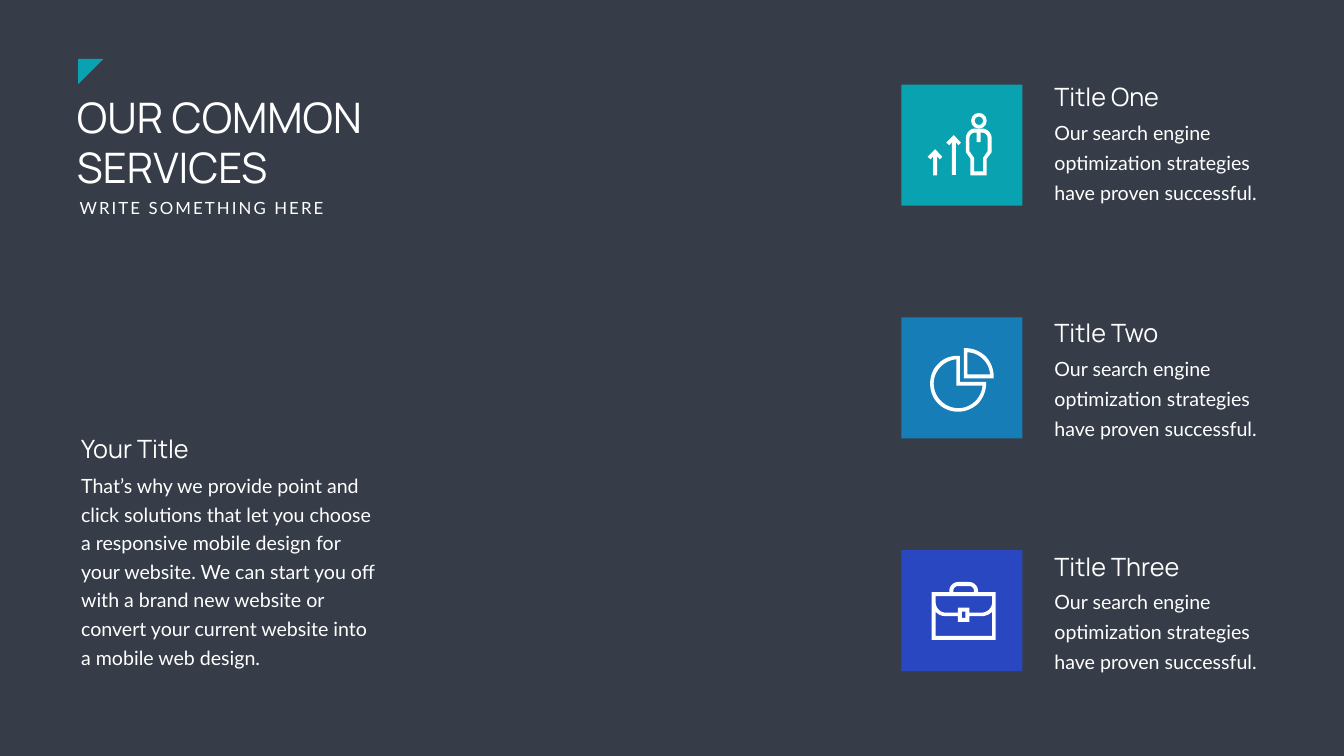
import pptx
import pptx.util
import pptx.dml.color
import pptx.enum.shapes
from pptx.util import Cm, Pt

SHAPE = pptx.enum.shapes.MSO_SHAPE
WHITE = "FFFFFF"
UNIT = Cm(2.54) / 100
STEPS = 12
SIDE = 6.1
LEFT = 45.42
TOP = 4.27
PITCH = 11.73

PERSON = [
    [(171, 132), (162, 145), (162, 172), (144, 172), (144, 145), (135, 132),
     (135, 106), (135, 100, 140, 95, 146, 95), (149, 95), (149, 114),
     (157, 114), (157, 95), (160, 95), (166, 95, 171, 100, 171, 106)],
    [(160, 87), (146, 87), (136, 87, 128, 96, 128, 106), (128, 134),
     (137, 147), (137, 180), (169, 180), (169, 147), (179, 134),
     (179, 106), (179, 96, 170, 87, 160, 87)],
]
PIE = [
    [(109, 83), (84, 85, 64, 106, 64, 131), (64, 158, 86, 180, 113, 180),
     (138, 180, 159, 160, 161, 135), (109, 135)],
    [(113, 187), (97, 187, 83, 181, 73, 171), (62, 160, 57, 146, 57, 131),
     (57, 117, 62, 102, 73, 92), (83, 81, 97, 76, 113, 76), (116, 76),
     (116, 128), (168, 128), (168, 131), (168, 146, 162, 160, 152, 171),
     (141, 181, 127, 187, 113, 187)],
]
SLICE = [
    [(131, 113), (176, 113), (174, 89, 155, 70, 131, 69)],
    [(183, 121), (124, 121), (124, 61), (128, 61),
     (142, 61, 156, 67, 167, 77), (177, 88, 183, 102, 183, 117)],
]
CASE = [
    [(158, 124), (135, 124), (135, 114), (112, 114), (112, 124), (89, 124),
     (77, 124, 68, 115, 68, 103), (68, 91), (180, 91), (180, 103),
     (180, 115, 170, 124, 158, 124)],
    [(120, 122), (127, 122), (127, 134), (120, 134)],
    [(180, 170), (68, 170), (68, 122), (73, 128, 81, 131, 89, 131),
     (112, 131), (112, 142), (135, 142), (135, 131), (158, 131),
     (166, 131, 174, 128, 180, 122)],
    [(103, 81), (103, 75, 107, 71, 113, 71), (134, 71),
     (140, 71, 144, 75, 144, 81), (144, 83), (103, 83)],
    [(152, 83), (152, 81), (152, 71, 144, 63, 134, 63), (113, 63),
     (103, 63, 95, 71, 95, 81), (95, 83), (60, 83), (60, 178),
     (187, 178), (187, 83)],
]


def color(code):
    return pptx.dml.color.RGBColor.from_string(code)


def paint(shape, code):
    shape.shadow.inherit = False
    shape.fill.solid()
    shape.fill.fore_color.rgb = color(code)
    shape.line.fill.background()
    return shape


def add_form(slide, kind, x, y, size, code):
    return paint(slide.shapes.add_shape(kind, Cm(x), Cm(y), Cm(size), Cm(size)), code)


def add_text(slide, text, box, face, size, pitch=None, wrap=True, gap=0):
    frame = slide.shapes.add_textbox(*map(Cm, box)).text_frame
    frame.word_wrap = wrap
    par = frame.paragraphs[0]
    run = par.add_run()
    run.text = text
    if gap:
        run._r.get_or_add_rPr().set("spc", str(gap))
    par.font.name = face
    par.font.size = Pt(size)
    par.font.color.rgb = color(WHITE)
    if pitch:
        par.line_spacing = Pt(pitch)


def bend(start, curve):
    nodes = [start, curve[:2], curve[2:4], curve[4:]]
    for step in range(1, STEPS + 1):
        t = step / STEPS
        parts = ((1 - t) ** 3, 3 * t * (1 - t) ** 2, 3 * t * t * (1 - t), t ** 3)
        yield tuple(sum(p * n[axis] for p, n in zip(parts, nodes)) for axis in (0, 1))


def flatten(loop):
    dots = []
    for node in loop:
        dots.extend([node] if len(node) == 2 else bend(dots[-1], node))
    return [(round(x * UNIT), round(y * UNIT)) for x, y in dots]


def add_icon(slide, loops, top):
    first, *rest = map(flatten, loops)
    form = slide.shapes.build_freeform(*first[0])
    form.add_line_segments(first[1:], close=True)
    for dots in rest:
        form.move_to(*dots[0])
        form.add_line_segments(dots[1:], close=True)
    paint(form.convert_to_shape(Cm(LEFT), Cm(top)), WHITE)


def arrow(x, y, high):
    dots = [(0, 15), (6, 20), (11, 14), (11, high), (19, high),
            (19, 14), (24, 20), (29, 15), (15, 0)]
    return [[(x + dx, y + dy) for dx, dy in dots]]


def add_service(slide, row, title, y, code, icons):
    top = TOP + row * PITCH
    add_form(slide, SHAPE.RECTANGLE, LEFT, top, SIDE, code)
    add_text(slide, "Our search engine optimization strategies have proven successful.",
             (52.88, y + 1.63, 10.9, 4.7), "Lato", 28, pitch=43)
    add_text(slide, title, (52.88, y, 7, 1.8), "Manrope", 36, wrap=False)
    for loops in icons:
        add_icon(slide, loops, top)


def add_intro(slide):
    add_text(slide, "OUR COMMON SERVICES", (3.63, 4.47, 16.84, 5.38), "Manrope", 60)
    add_text(slide, "WRITE SOMETHING HERE", (3.76, 9.86, 13.06, 1.27), "Lato", 24,
             wrap=False, gap=300)
    add_form(slide, SHAPE.RIGHT_TRIANGLE, 3.94, 2.97, 1.27, "09A2B1").rotation = 90
    add_text(slide, "That’s why we provide point and click solutions that let you choose "
             "a responsive mobile design for your website. We can start you off with "
             "a brand new website or convert your current website into a mobile web design.",
             (3.84, 23.52, 15.37, 10.34), "Lato", 28, pitch=40.8)
    add_text(slide, "Your Title", (3.84, 21.72, 6.43, 1.8), "Manrope", 36, wrap=False)


def main():
    deck = pptx.Presentation()
    deck.slide_width = Cm(67.72)
    deck.slide_height = Cm(38.1)
    slide = deck.slides.add_slide(deck.slide_layouts[6])
    slide.background.fill.solid()
    slide.background.fill.fore_color.rgb = color("363D48")
    add_intro(slide)
    services = [
        ("Title One", 3.99, "09A2B1", [PERSON, arrow(89, 100, 79), arrow(52, 128, 52)]),
        ("Title Two", 15.88, "167DB7", [PIE, SLICE]),
        ("Title Three", 27.64, "2847C0", [CASE]),
    ]
    for row, service in enumerate(services):
        add_service(slide, row, *service)
    head = add_form(slide, SHAPE.DONUT, LEFT + 3.51, TOP + 1.42, 0.79, WHITE)
    head.adjustments[0] = 0.23
    deck.save("out.pptx")


if __name__ == "__main__":
    main()
